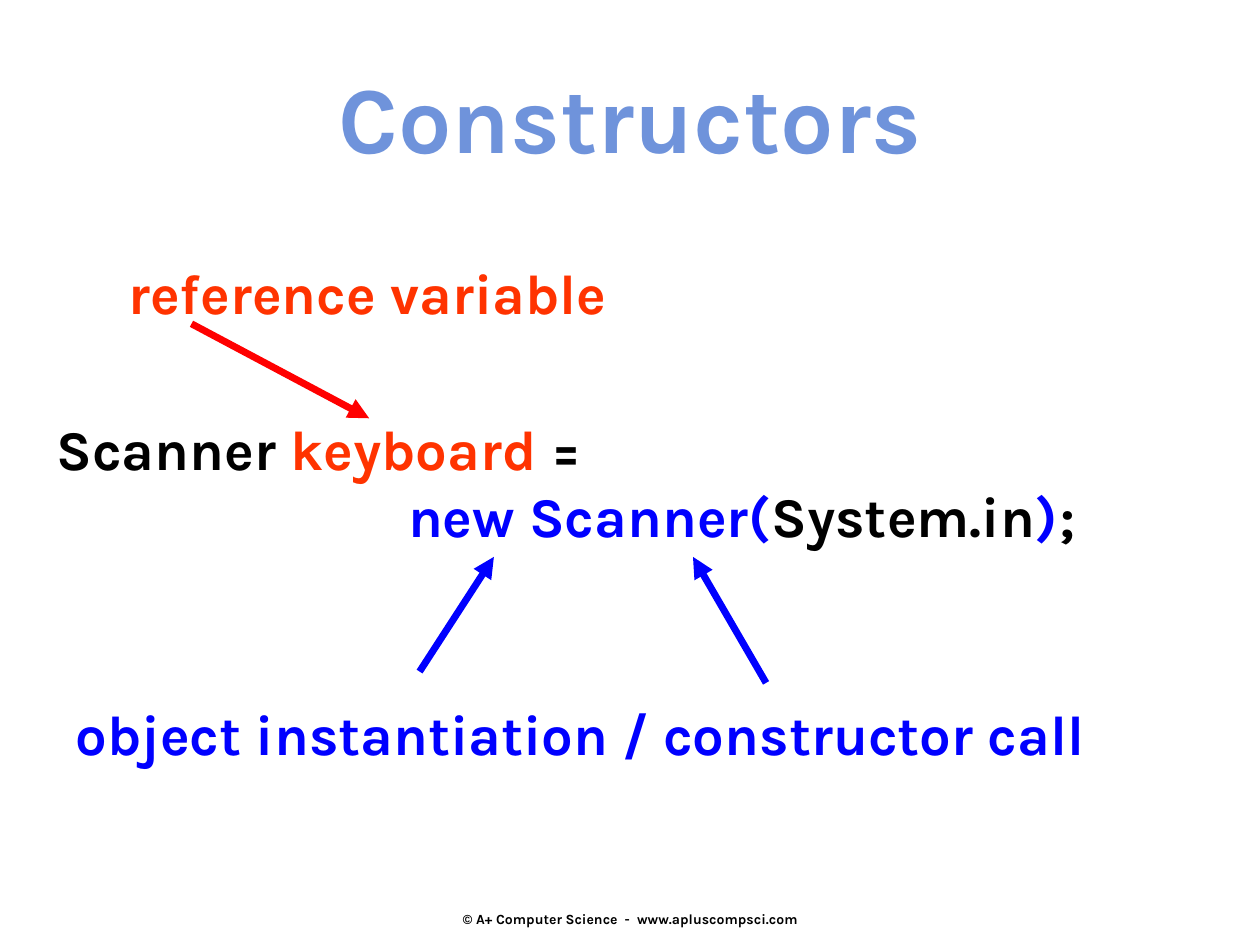
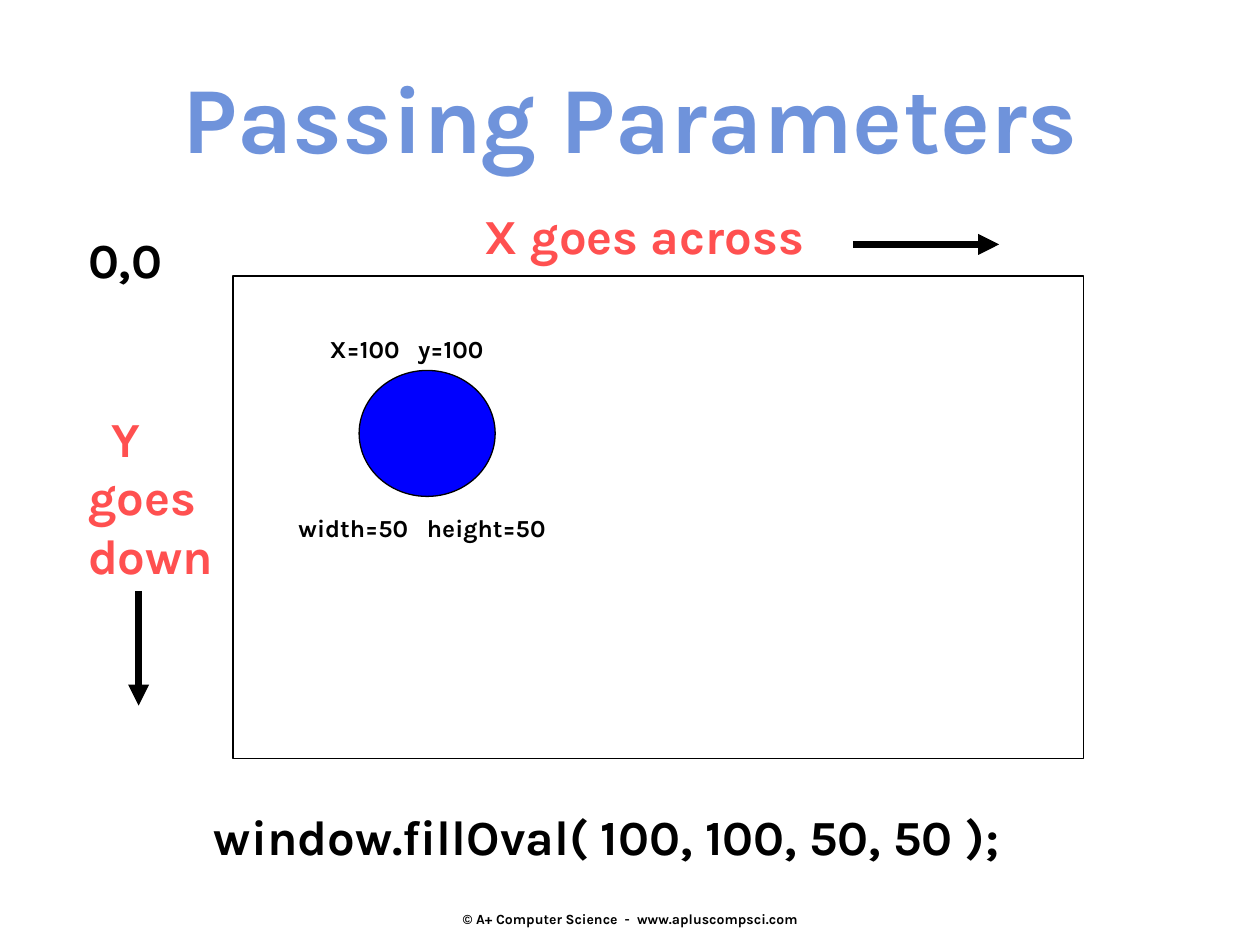
from lxml import etree
from pptx import Presentation
from pptx import util as u
from pptx.dml.color import RGBColor
from pptx.enum import shapes, text
from pptx.oxml.ns import qn

PX = u.Inches(1) // 100
FONT = "Karla"
COLORS = {
    "white": "FFFFFF", "black": "000000", "title": "6F93DB", "blue": "0000FF",
    "arrow_red": "FF0000", "variable": "FF3300", "axis": "FF5050",
}
FOOTER = "© A+ Computer Science  -  www.apluscompsci.com"


def color(name):
    """Return the named colour."""
    return RGBColor.from_string(COLORS[name])


class Deck:
    """Hold the shared style and the current slide; lengths are in px."""

    def __init__(self):
        self.presentation = Presentation()
        self.presentation.slide_width = 1000 * PX
        self.presentation.slide_height = 750 * PX
        self.slide = None

    def new_slide(self, title):
        """Start a blank slide with its footer and title."""
        self.slide = self.presentation.slides.add_slide(self.presentation.slide_layouts[6])
        self.label((342, 704, 317, 50), FOOTER, 8, centered=True, middle=True)
        self.label((0, 42, 1000, 101), title, 54, "title", centered=True)

    def label(self, box, content, size, color_name="black", **options):
        """Add a text box holding one or more plain lines."""
        shape = self.slide.shapes.add_textbox(*(value * PX for value in box))
        lines = [[(line, color_name)] for line in content.split("\n")]
        self.set_lines(shape, lines, size, **options)

    def set_lines(self, shape, lines, size, indents=(), tab=None, centered=False, middle=False):
        """Fill a shape with lines made of (words, colour) runs."""
        frame = shape.text_frame
        frame.word_wrap = True
        frame.vertical_anchor = text.MSO_ANCHOR.MIDDLE if middle else text.MSO_ANCHOR.TOP
        for index, runs in enumerate(lines):
            paragraph = frame.paragraphs[0] if index == 0 else frame.add_paragraph()
            paragraph.alignment = text.PP_ALIGN.CENTER if centered else text.PP_ALIGN.LEFT
            properties = paragraph._p.get_or_add_pPr()
            if index < len(indents):
                properties.set("marL", str(indents[index] * PX))
            if tab:
                tabs = etree.SubElement(properties, qn("a:tabLst"))
                etree.SubElement(tabs, qn("a:tab"), pos=str(tab * PX), algn="l")
            paragraph.font.name = FONT
            paragraph.font.size = u.Pt(size)
            paragraph.font.bold = True
            for words, color_name in runs:
                run = paragraph.add_run()
                run.text = words
                run.font.color.rgb = color(color_name)

    def shape(self, kind, box, fill, line=None):
        """Add a filled preset shape, outlined if a line colour is given."""
        shape = self.slide.shapes.add_shape(kind, *(value * PX for value in box))
        shape.shadow.inherit = False
        shape.fill.solid()
        shape.fill.fore_color.rgb = color(fill)
        if line:
            shape.line.color.rgb = color(line)
            shape.line.width = u.Pt(0.75)
        else:
            shape.line.fill.background()
        return shape

    def arrow(self, start, end, color_name="black"):
        """Add a thick straight arrow from start to end."""
        connector = self.slide.shapes.add_connector(
            shapes.MSO_CONNECTOR.STRAIGHT, *(value * PX for value in start + end))
        connector.line.color.rgb = color(color_name)
        connector.line.width = u.Pt(4)
        properties = connector._element.spPr
        etree.SubElement(properties.find(qn("a:ln")), qn("a:tailEnd"), type="triangle")
        etree.SubElement(properties, qn("a:effectLst"))


def constructors(deck):
    """Build the slide that labels the parts of a constructor call."""
    deck.new_slide("Constructors")
    code = deck.shape(shapes.MSO_SHAPE.RECTANGLE, (35, 324, 925, 223), "white")
    deck.set_lines(code, [
        [("Scanner ", "black"), ("keyboard", "variable"), (" =", "black")],
        [("new Scanner(", "blue"), ("System.in", "black"), (")", "blue"), (";", "black")],
    ], 32, indents=(0, 279))
    deck.label((92, 200, 426, 63), "reference variable", 32, "variable")
    deck.label((50, 550, 856, 63), "object instantiation / constructor call", 32, "blue")
    deck.arrow((152, 257), (293, 332), "arrow_red")
    deck.arrow((333, 533), (392, 442), "blue")
    deck.arrow((608, 542), (550, 442), "blue")


def passing_parameters(deck):
    """Build the slide that shows an oval in window coordinates."""
    deck.new_slide("Passing Parameters")
    deck.shape(shapes.MSO_SHAPE.RECTANGLE, (185, 219, 675, 383), "white", "black")
    deck.label((60, 177, 82, 57), "0,0", 28)
    deck.label((160, 635, 716, 57), "window.fillOval( 100, 100, 50, 50 );", 28)
    deck.label((375, 158, 286, 57), "X goes across", 28, "axis")
    deck.label((60, 319, 128, 150), "Y\ngoes\ndown", 28, "axis", indents=(19,))
    deck.arrow((110, 469), (110, 560))
    deck.arrow((677, 194), (793, 194))
    deck.shape(shapes.MSO_SHAPE.OVAL, (285, 294, 108, 100), "blue", "black")
    deck.label((252, 260, 200, 33), "X=100\ty=100", 14, tab=70)
    deck.label((227, 402, 242, 33), "width=50\theight=50", 14, tab=102)


def main():
    """Build and save the slides."""
    deck = Deck()
    constructors(deck)
    passing_parameters(deck)
    deck.presentation.save("out.pptx")


if __name__ == "__main__":
    main()
